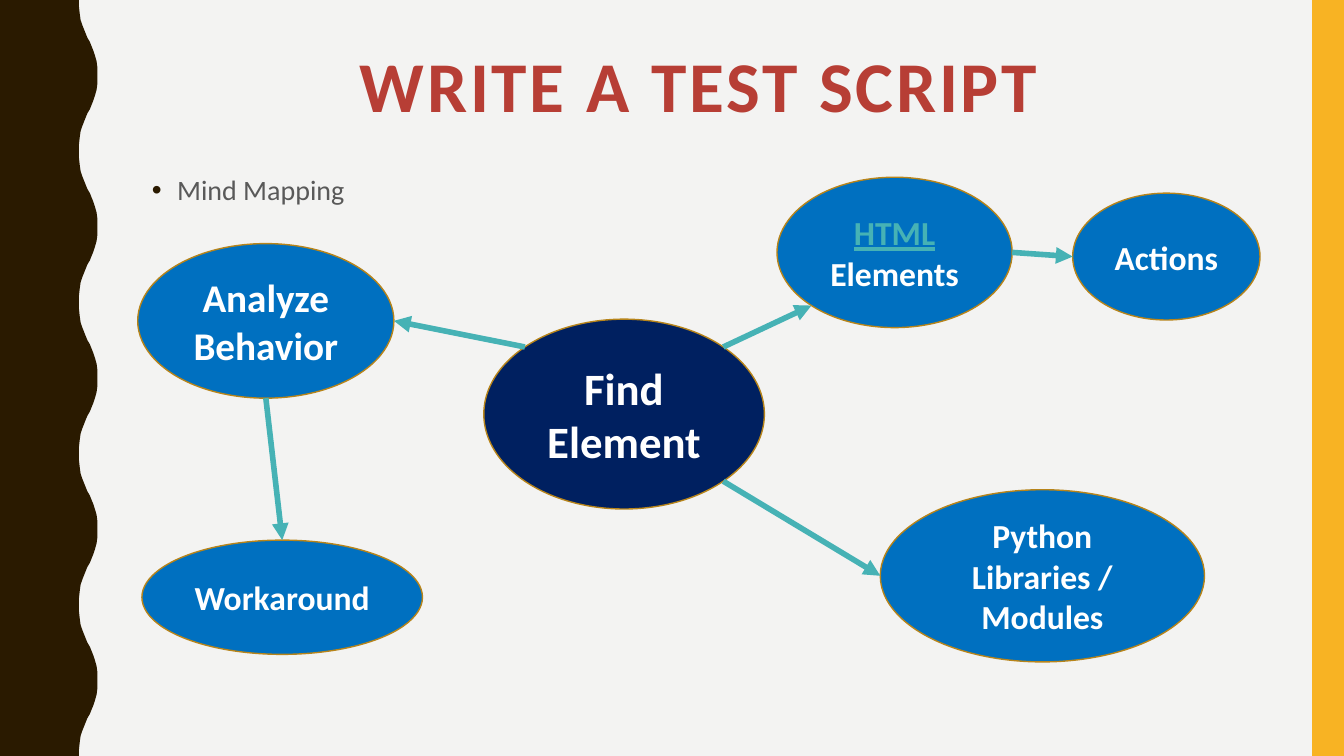
"""Build the mind-map slide on a grid of 16 columns by 9 rows."""
from math import cos, radians, sin
from lxml.etree import SubElement as Sub
from pptx import Presentation
from pptx.dml.color import RGBColor as Rgb
from pptx.enum.shapes import MSO_CONNECTOR as Link, MSO_SHAPE as Kind
from pptx.enum.text import MSO_ANCHOR as Anchor, PP_ALIGN as Align
from pptx.oxml.ns import qn
from pptx.util import Inches, Pt

theme = {
    "back": "F3F3F2", "wave": "2A1A00", "band": "F8B323", "title": "B73E35",
    "body": "595959", "core": "002060", "node": "0070C0", "edge": "B7841A",
    "arrow": "46B2B5", "text": "FFFFFF", "font": "Calibri",
    "huge": 51, "large": 32, "big": 28, "mid": 24, "small": 20,
}


def paint(shape, tone, edge=None):
    shape.shadow.inherit = False
    shape.fill.solid()
    shape.fill.fore_color.rgb = Rgb.from_string(theme[tone])
    if edge:
        shape.line.color.rgb = Rgb.from_string(theme[edge])
        shape.line.width = Pt(1)
    else:
        shape.line.fill.background()


def write(para, text, tone, size, **style):
    run = para.add_run()
    run.text = text
    form = {"name": theme["font"], "size": Pt(theme[size]), **style}
    for key, value in form.items():
        setattr(run.font, key, value)
    run.font.color.rgb = Rgb.from_string(theme[tone])
    return run


deck = Presentation()
deck.slide_width, deck.slide_height = Inches(13.33), Inches(7.5)
col, row = deck.slide_width / 16, deck.slide_height / 9
slide = deck.slides.add_slide(deck.slide_layouts[5])
slide.background.fill.solid()
slide.background.fill.fore_color.rgb = Rgb.from_string(theme["back"])
shapes = slide.shapes

title = shapes.title
place = {"left": 1.64 * col, "top": 0.5 * row, "width": 13.36 * col, "height": 1.12 * row}
for key, value in place.items():
    setattr(title, key, int(value))
title.text_frame.word_wrap = True
title.text_frame.vertical_anchor = Anchor.MIDDLE
para = title.text_frame.paragraphs[0]
para.alignment, para.line_spacing = Align.CENTER, 0.9
run = write(para, "WRITE A TEST SCRIPT", "title", "huge", bold=True)
run.font._element.set("spc", "200")

rise = [(0.94, 0), (0.94, 0.08), (0.95, 0.17), (0.96, 0.24), (0.98, 0.3),
        (1, 0.35), (1.02, 0.4), (1.04, 0.45), (1.07, 0.5), (1.09, 0.55),
        (1.11, 0.6), (1.13, 0.66), (1.15, 0.73), (1.16, 0.81), (1.16, 0.9)]
cycle = rise + [(x, 1.8 - y) for x, y in rise[-2::-1]]
curve = [(x * col, (y + 1.8 * turn) * row) for turn in range(5) for x, y in cycle]
pen = shapes.build_freeform(0, 0)
pen.add_line_segments(curve + [(0, 9 * row)], close=True)
paint(pen.convert_to_shape(), "wave")

band = shapes.add_shape(Kind.RECTANGLE, int(15.62 * col), 0, int(0.38 * col), int(9 * row))
paint(band, "band")

body = shapes.add_textbox(int(1.69 * col), int(1.96 * row), int(13.36 * col), int(5.93 * row))
body.text_frame.word_wrap = True
para = body.text_frame.paragraphs[0]
para.line_spacing, para.space_before = 1.1, Pt(7)
write(para, "Mind Mapping", "body", "small")
props = para._p.get_or_add_pPr()
props.set("marL", str(Inches(0.25)))
props.set("indent", str(-Inches(0.25)))
Sub(Sub(props, qn("a:buClr")), qn("a:srgbClr"), val=theme["wave"])
Sub(props, qn("a:buFont"), typeface="Arial")
Sub(props, qn("a:buChar"), char="•")

nodes = {
    "find": (5.76, 3.8, 3.34, 2.26, "core", "large", ["Find Element"]),
    "html": (9.25, 2.11, 2.8, 1.79, "node", "mid", ["HTML", " Elements"]),
    "act": (12.77, 2.3, 2.23, 1.51, "node", "mid", ["Actions"]),
    "libs": (10.48, 5.83, 3.86, 2.05, "node", "mid", ["Python Libraries / Modules"]),
    "study": (1.64, 2.9, 3.05, 1.84, "node", "big", ["Analyze Behavior"]),
    "work": (1.69, 6.43, 3.34, 1.36, "node", "mid", ["Workaround"]),
}
ovals = {}
for name, (x, y, wide, high, tone, size, parts) in nodes.items():
    oval = shapes.add_shape(Kind.OVAL, int(x * col), int(y * row), int(wide * col), int(high * row))
    paint(oval, tone, "edge")
    oval.text_frame.word_wrap = True
    oval.text_frame.vertical_anchor = Anchor.MIDDLE
    para = oval.text_frame.paragraphs[0]
    para.alignment = Align.CENTER
    for part in parts:
        mark = part == "HTML"
        write(para, part, "arrow" if mark else "text", size, bold=True, underline=mark)
    ovals[name] = oval

links = [("find", 7, "html", 3), ("html", 6, "act", 2), ("find", 5, "libs", 2),
         ("find", 1, "study", 6), ("study", 4, "work", 0)]
for start, out, goal, into in links:
    ends = []
    for oval, site in ((ovals[start], out), (ovals[goal], into)):
        turn = radians(90 + 45 * site)
        ends += [int(oval.left + oval.width * (1 + cos(turn)) / 2),
                 int(oval.top + oval.height * (1 - sin(turn)) / 2)]
    arrow = shapes.add_connector(Link.STRAIGHT, *ends)
    arrow.line.color.rgb = Rgb.from_string(theme["arrow"])
    arrow.line.width = Pt(4)
    Sub(arrow.line._get_or_add_ln(), qn("a:tailEnd"), type="triangle")
    Sub(arrow._element.spPr, qn("a:effectLst"))
    glue = arrow._element.nvCxnSpPr.cNvCxnSpPr
    for tag, name, site in (("a:stCxn", start, out), ("a:endCxn", goal, into)):
        Sub(glue, qn(tag), id=str(ovals[name].shape_id), idx=str(site))

deck.save("out.pptx")
